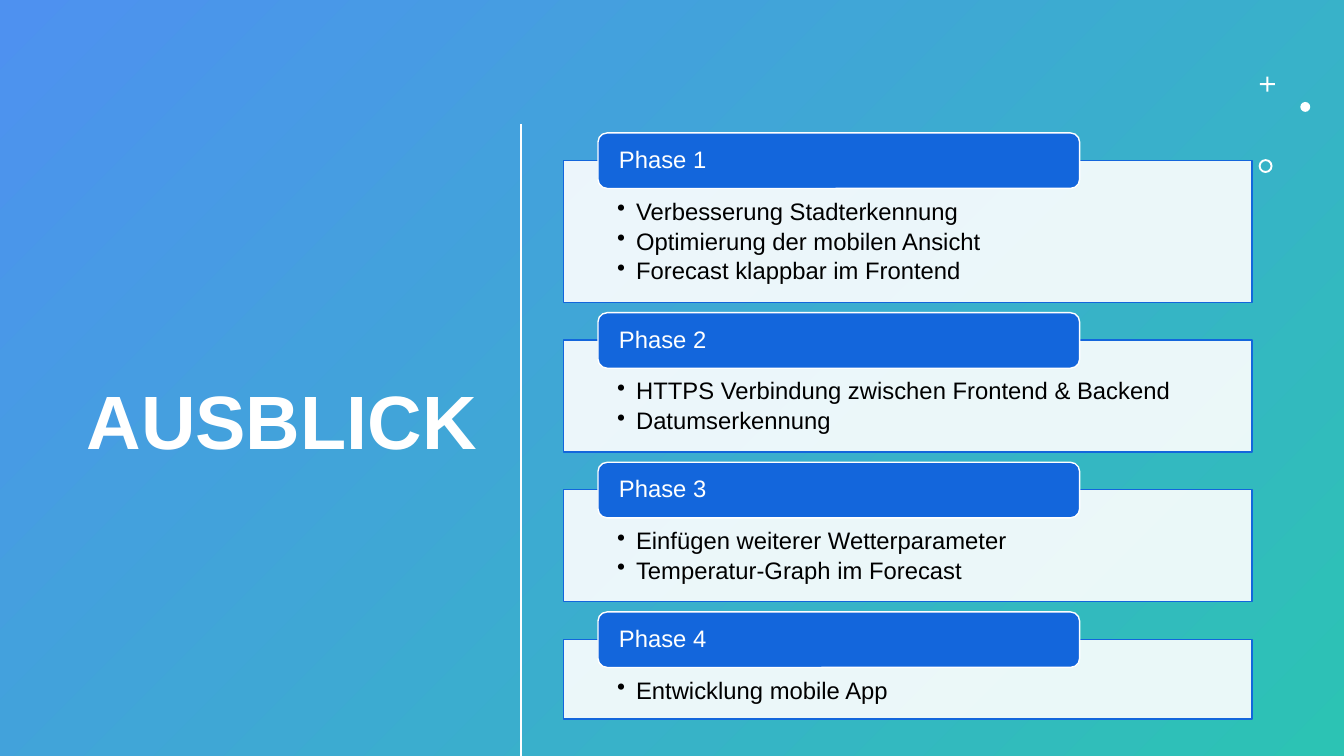
from lxml import etree
from pptx import Presentation
from pptx.dml.color import RGBColor
from pptx.enum.shapes import MSO_CONNECTOR, MSO_SHAPE
from pptx.enum.text import MSO_ANCHOR, PP_ALIGN
from pptx.oxml.ns import qn
from pptx.util import Cm, Pt

RECTANGLE, ROUNDED = MSO_SHAPE.RECTANGLE, MSO_SHAPE.ROUNDED_RECTANGLE
CROSS, OVAL, DONUT = MSO_SHAPE.CROSS, MSO_SHAPE.OVAL, MSO_SHAPE.DONUT
STRAIGHT = MSO_CONNECTOR.STRAIGHT
TOP, MIDDLE = MSO_ANCHOR.TOP, MSO_ANCHOR.MIDDLE
LEFT, RIGHT = PP_ALIGN.LEFT, PP_ALIGN.RIGHT

COLORS = {"sky": "4E91F0", "teal": "2CC3B4", "blue": "1366DC",
          "white": "FFFFFF", "black": "000000"}
FONT = "Arial"
SLIDE_WIDTH, SLIDE_HEIGHT = 33.87, 19.05

# Phase name, panel height in cm, bullet texts
PHASES = [
    ("Phase 1", 3.58, ["Verbesserung Stadterkennung",
                       "Optimierung der mobilen Ansicht",
                       "Forecast klappbar im Frontend"]),
    ("Phase 2", 2.82, ["HTTPS Verbindung zwischen Frontend & Backend",
                       "Datumserkennung"]),
    ("Phase 3", 2.82, ["Einfügen weiterer Wetterparameter",
                       "Temperatur-Graph im Forecast"]),
    ("Phase 4", 2.01, ["Entwicklung mobile App"]),
]
PANEL_LEFT, PANEL_WIDTH, FIRST_PANEL_TOP, PANEL_GAP = 14.2, 17.35, 4.04, 0.95
TAB_LEFT, TAB_WIDTH, TAB_HEIGHT, TAB_RISE = 15.07, 12.14, 1.4, 0.69

# Shape kind, left, top, size, adjustment
ORNAMENTS = [
    (CROSS, 31.75, 1.93, 0.38, 0.43),
    (OVAL, 32.77, 2.57, 0.25, None),
    (DONUT, 31.72, 4.01, 0.35, 0.14),
]


def rgb(name):
    return RGBColor.from_string(COLORS[name])


def add_plain_shape(slide, kind, left, top, width, height, fill=None, line=None):
    shape = slide.shapes.add_shape(kind, Cm(left), Cm(top), Cm(width), Cm(height))
    shape.shadow.inherit = False
    if fill:
        shape.fill.solid()
        shape.fill.fore_color.rgb = rgb(fill)
    if line:
        shape.line.color.rgb = rgb(line)
        shape.line.width = Pt(1)
    else:
        shape.line.fill.background()
    return shape


def write_text(shape, texts, color, size=17, bold=False, align=LEFT,
               anchor=MIDDLE, insets=(0.25, 0.13, 0.25, 0.13), bullets=False):
    frame = shape.text_frame
    left, top, right, bottom = insets
    frame_format = {"word_wrap": True, "vertical_anchor": anchor,
                    "margin_left": Cm(left), "margin_top": Cm(top),
                    "margin_right": Cm(right), "margin_bottom": Cm(bottom)}
    for name, value in frame_format.items():
        setattr(frame, name, value)
    for index, text in enumerate(texts):
        paragraph = frame.add_paragraph() if index else frame.paragraphs[0]
        paragraph.text = text
        paragraph_format = {"alignment": align, "line_spacing": 0.9,
                            "space_after": Pt(3 if bullets else 0)}
        for name, value in paragraph_format.items():
            setattr(paragraph, name, value)
        font_format = {"name": FONT, "size": Pt(size), "bold": bold}
        for name, value in font_format.items():
            setattr(paragraph.font, name, value)
        paragraph.font.color.rgb = rgb(color)
        if bullets:
            add_bullet(paragraph)


def add_bullet(paragraph):
    paragraph.level = 1
    properties = paragraph._p.get_or_add_pPr()
    properties.set("marL", str(Cm(0.48)))
    properties.set("indent", str(-Cm(0.48)))
    bullet = etree.Element(qn("a:buChar"), char="•")
    properties.find(qn("a:spcAft")).addnext(bullet)


def add_background(slide):
    background = add_plain_shape(slide, RECTANGLE, 0, 0, SLIDE_WIDTH, SLIDE_HEIGHT)
    background.fill.gradient()
    background.fill.gradient_angle = 315
    for stop, color in zip(background.fill.gradient_stops, ("sky", "teal")):
        stop.color.rgb = rgb(color)


def add_title(slide, text):
    title = slide.shapes.add_textbox(Cm(1.32), Cm(2.95), Cm(10.95), Cm(15.52))
    write_text(title, [text], "white", size=54, bold=True, align=RIGHT)


def add_divider(slide):
    divider = slide.shapes.add_connector(
        STRAIGHT, Cm(13.13), Cm(3.12), Cm(13.13), Cm(SLIDE_HEIGHT))
    divider.line.color.rgb = rgb("white")
    divider.line.width = Pt(2)
    etree.SubElement(divider._element.spPr, qn("a:effectLst"))


def add_ornament(slide, kind, left, top, size, adjustment):
    ornament = add_plain_shape(slide, kind, left, top, size, size, "white")
    if adjustment is not None:
        ornament.adjustments[0] = adjustment


def add_phase(slide, name, top, height, items):
    panel = add_plain_shape(slide, RECTANGLE, PANEL_LEFT, top, PANEL_WIDTH,
                            height, "white", "blue")
    color = panel._element.spPr.find(qn("a:solidFill")).find(qn("a:srgbClr"))
    etree.SubElement(color, qn("a:alpha"), val="90000")
    write_text(panel, items, "black", anchor=TOP,
               insets=(1.35, 0.99, 1.35, 0.33), bullets=True)
    tab = add_plain_shape(slide, ROUNDED, TAB_LEFT, top - TAB_RISE, TAB_WIDTH,
                          TAB_HEIGHT, "blue", "white")
    write_text(tab, [name], "white", insets=(0.46, 0, 0.46, 0))


def main():
    presentation = Presentation()
    presentation.slide_width = Cm(SLIDE_WIDTH)
    presentation.slide_height = Cm(SLIDE_HEIGHT)
    slide = presentation.slides.add_slide(presentation.slide_layouts[6])

    # Backdrop, title and decoration
    add_background(slide)
    add_title(slide, "AUSBLICK")
    add_divider(slide)
    for ornament in ORNAMENTS:
        add_ornament(slide, *ornament)

    # Phases stacked with equal gaps
    top = FIRST_PANEL_TOP
    for name, height, items in PHASES:
        add_phase(slide, name, top, height, items)
        top += height + PANEL_GAP

    presentation.save("out.pptx")


if __name__ == "__main__":
    main()
